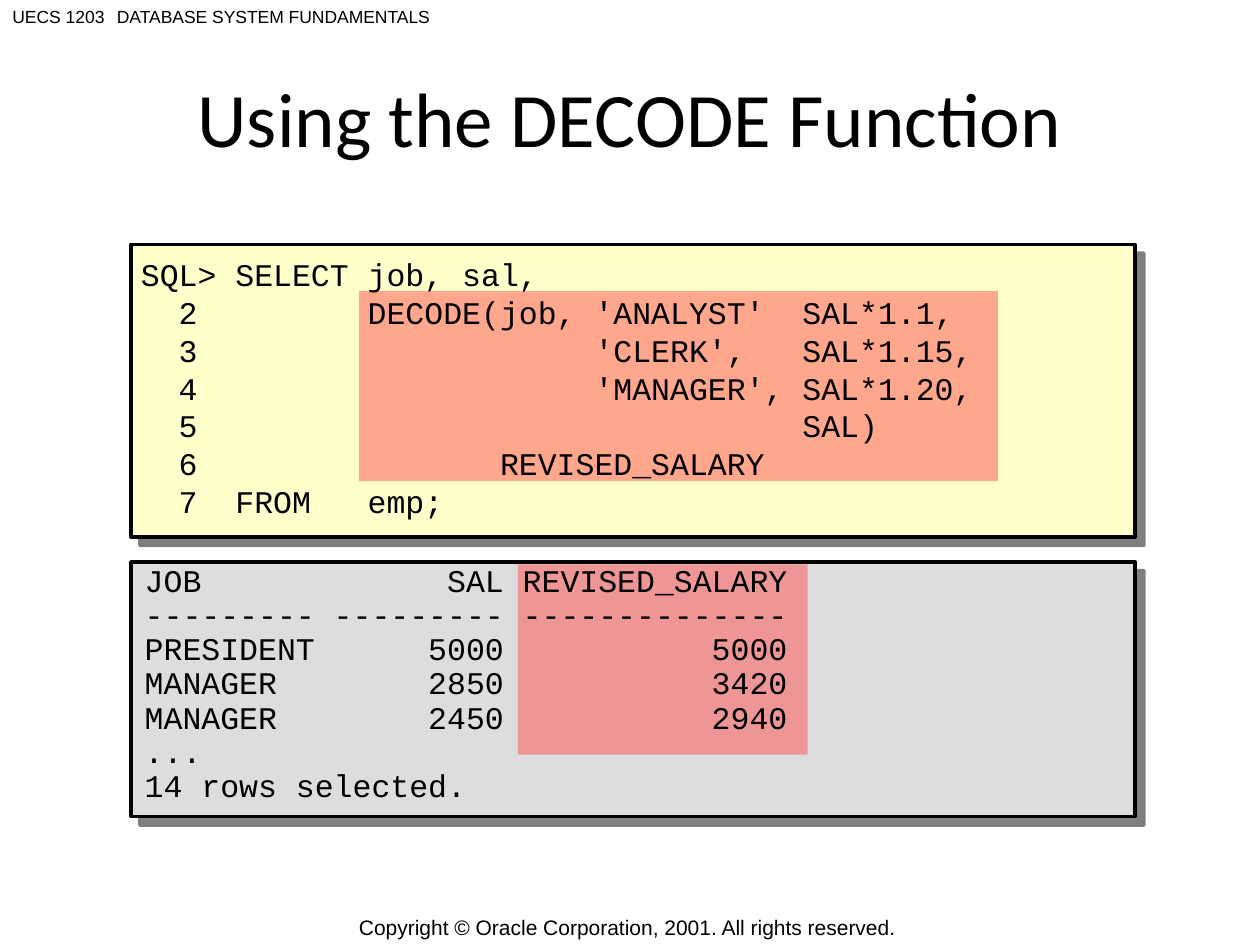
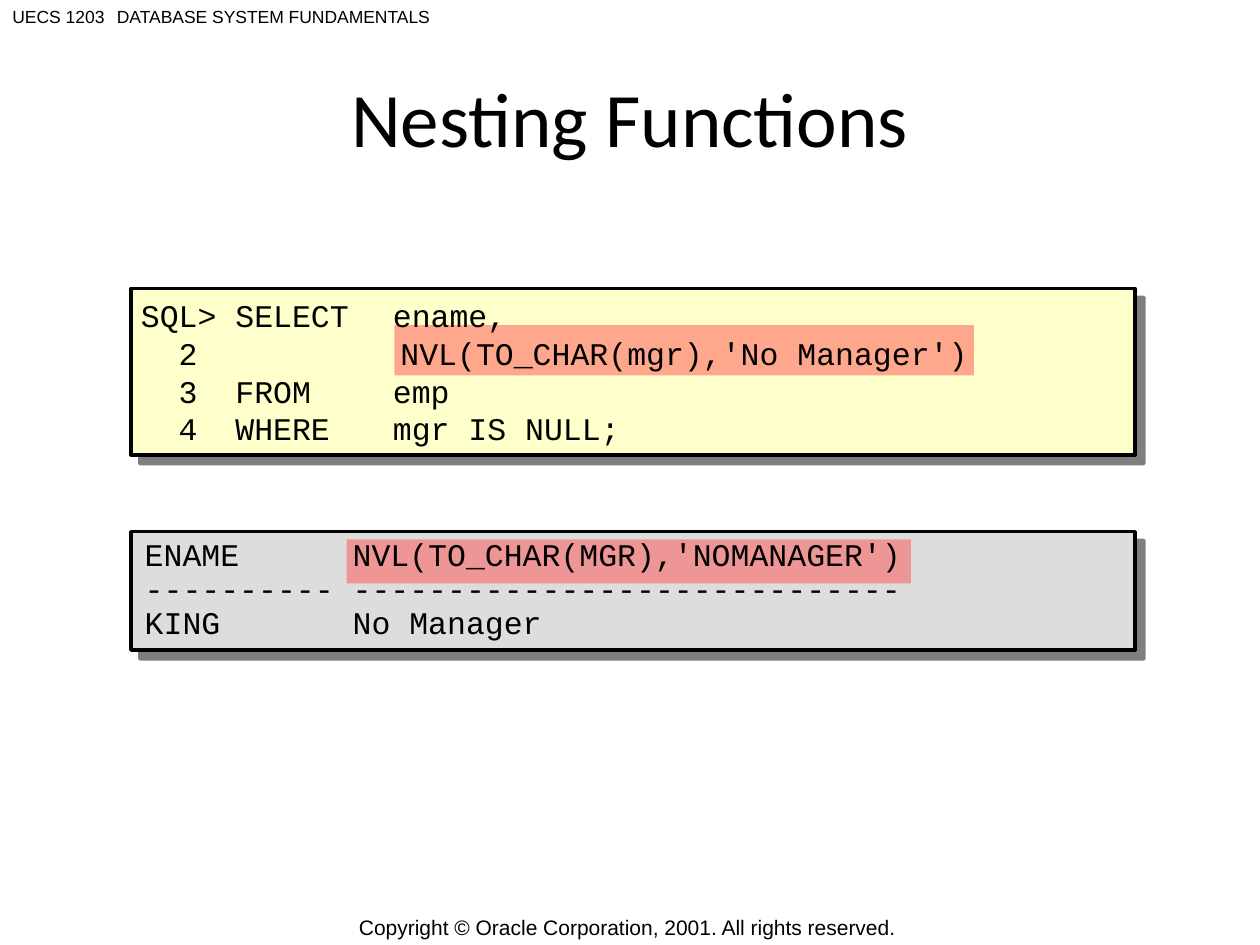
from dataclasses import dataclass

from lxml import etree
from pptx import Presentation
from pptx.dml.color import RGBColor
from pptx.enum import shapes, text
from pptx.oxml import ns
from pptx.slide import Slide
from pptx.util import Emu, Inches, Pt

COLUMNS, ROWS = 100, 75
SLIDE_W, SLIDE_H = Inches(10), Inches(7.5)


@dataclass(frozen=True)
class Theme:
    ink: str = "000000"
    paper: str = "FFFFFF"
    code_fill: str = "FFFFCC"
    result_fill: str = "DDDDDD"
    highlight: str = "FF5050"
    title_font: str = "Calibri"
    label_font: str = "Arial"
    code_font: str = "Courier New"
    title_size: int = 44
    code_size: int = 18
    footer_size: int = 12
    header_size: int = 10
    border: int = 2
    shadow_distance: float = 7.1
    result_spacing: float = 0.9
    code_tabs: tuple[float, ...] = (1.31, 2, 3, 4, 5, 6, 7)


@dataclass(frozen=True)
class Box:
    """A rectangle in grid columns and rows."""
    x: float
    y: float
    w: float
    h: float

    def emu(self) -> tuple[Emu, Emu, Emu, Emu]:
        col, row = SLIDE_W / COLUMNS, SLIDE_H / ROWS
        return (Emu(round(self.x * col)), Emu(round(self.y * row)),
                Emu(round(self.w * col)), Emu(round(self.h * row)))


@dataclass(frozen=True)
class Label:
    words: str
    box: Box
    size: int
    anchor: text.MSO_ANCHOR = text.MSO_ANCHOR.TOP
    wrap: bool = True


@dataclass(frozen=True)
class Listing:
    """A bordered panel, its highlighted part and the monospaced text on top."""
    panel: Box
    highlight: Box
    words: Box
    lines: str
    is_result: bool = False


@dataclass(frozen=True)
class Example:
    title: str
    query: Listing
    result: Listing


THEME = Theme()
TITLE_BOX = Box(5, 3, 90, 12.5)
LABELS = (
    Label("UECS 1203", Box(0, 0, 10.8, 2.7), THEME.header_size),
    Label("DATABASE SYSTEM FUNDAMENTALS", Box(8.3, 0, 31.7, 2.7), THEME.header_size),
    Label("Copyright © Oracle Corporation, 2001. All rights reserved.",
          Box(27.5, 72.5, 44.9, 2.1), THEME.footer_size, text.MSO_ANCHOR.MIDDLE, False),
)


def panel_box(y: float, h: float) -> Box:
    return Box(10.4, y, 79.7, h)


def query_box(y: float, h: float) -> Box:
    return Box(10.2, y, 80, h)


def result_box(y: float, h: float) -> Box:
    return Box(10.5, y, 79.5, h)


EXAMPLES = (
    Example(
        "Using the DECODE Function",
        Listing(panel_box(19.4, 23.2), Box(28.5, 23.1, 50.7, 15.1), query_box(19, 23.5),
                """SQL> SELECT job, sal,
  2         DECODE(job, 'ANALYST'  SAL*1.1,
  3                     'CLERK',   SAL*1.15,
  4                     'MANAGER', SAL*1.20,
  5                                SAL)
  6                REVISED_SALARY
  7  FROM   emp;"""),
        Listing(panel_box(44.6, 20.2), Box(41.1, 44.8, 23, 15.1), result_box(44.4, 19.9),
                """JOB             SAL REVISED_SALARY
--------- --------- --------------
PRESIDENT      5000           5000
MANAGER        2850           3420
MANAGER        2450           2940
...
14 rows selected.""", is_result=True),
    ),
    Example(
        "Nesting Functions",
        Listing(panel_box(22.9, 13.2), Box(31.3, 25.8, 46, 4), query_box(21.5, 16),
                """SQL> SELECT\tename,
  2\t     NVL(TO_CHAR(mgr),'No Manager')
  3  FROM\temp
  4  WHERE\tmgr IS NULL;"""),
        Listing(panel_box(42.2, 9.4), Box(27.5, 42.8, 44.8, 3.5), result_box(42.3, 9.1),
                """ENAME      NVL(TO_CHAR(MGR),'NOMANAGER')
---------- -----------------------------
KING       No Manager""", is_result=True),
    ),
)


def set_font(p, name: str, size: int) -> None:
    p.font.name, p.font.size = name, Pt(size)
    p.font.color.rgb = RGBColor.from_string(THEME.ink)


def add_rectangle(slide: Slide, box: Box, fill: str):
    sp = slide.shapes.add_shape(shapes.MSO_SHAPE.RECTANGLE, *box.emu())
    sp.shadow.inherit = False
    sp.fill.solid()
    sp.fill.fore_color.rgb = RGBColor.from_string(fill)
    sp.line.fill.background()
    return sp


def add_half_black(parent) -> None:
    color = etree.SubElement(parent, ns.qn("a:srgbClr"), val=THEME.ink)
    make_half_clear(color)


def make_half_clear(color) -> None:
    etree.SubElement(color, ns.qn("a:alpha"), val="50000")


def add_panel(slide: Slide, listing: Listing) -> None:
    fill = THEME.result_fill if listing.is_result else THEME.code_fill
    sp = add_rectangle(slide, listing.panel, fill)
    sp.line.color.rgb = RGBColor.from_string(THEME.ink)
    sp.line.width = Pt(THEME.border)
    effects = sp._element.spPr.find(ns.qn("a:effectLst"))
    shadow = etree.SubElement(effects, ns.qn("a:outerShdw"), dir=str(45 * 60000),
                              dist=str(Pt(THEME.shadow_distance)), algn="ctr", rotWithShape="0")
    add_half_black(shadow)


def add_highlight(slide: Slide, listing: Listing) -> None:
    sp = add_rectangle(slide, listing.highlight, THEME.highlight)
    make_half_clear(sp._element.spPr.find(".//" + ns.qn("a:srgbClr")))


def add_text(slide: Slide, box: Box, words: str, anchor: text.MSO_ANCHOR, wrap: bool = True):
    tf = slide.shapes.add_textbox(*box.emu()).text_frame
    tf.word_wrap, tf.vertical_anchor = wrap, anchor
    tf.text = words
    return tf


def add_tabs(p) -> None:
    tabs = etree.SubElement(p._p.get_or_add_pPr(), ns.qn("a:tabLst"))
    for stop in THEME.code_tabs:
        etree.SubElement(tabs, ns.qn("a:tab"), pos=str(Inches(stop)), algn="l")


def add_lines(slide: Slide, listing: Listing) -> None:
    anchor = text.MSO_ANCHOR.TOP if listing.is_result else text.MSO_ANCHOR.MIDDLE
    for p in add_text(slide, listing.words, listing.lines, anchor).paragraphs:
        add_tabs(p)
        if listing.is_result:
            p.line_spacing = THEME.result_spacing
        set_font(p, THEME.code_font, THEME.code_size)


def set_title(slide: Slide, words: str) -> None:
    title = slide.shapes.title
    title.left, title.top, title.width, title.height = TITLE_BOX.emu()
    tf = title.text_frame
    tf.text, tf.vertical_anchor = words, text.MSO_ANCHOR.MIDDLE
    p = tf.paragraphs[0]
    p.alignment = text.PP_ALIGN.CENTER
    set_font(p, THEME.title_font, THEME.title_size)


def add_example(prs, example: Example) -> None:
    slide = prs.slides.add_slide(prs.slide_layouts.get_by_name("Title Only"))
    slide.background.fill.solid()
    slide.background.fill.fore_color.rgb = RGBColor.from_string(THEME.paper)
    set_title(slide, example.title)
    for label in LABELS:
        tf = add_text(slide, label.box, label.words, label.anchor, label.wrap)
        set_font(tf.paragraphs[0], THEME.label_font, label.size)
    for draw in (add_panel, add_highlight, add_lines):
        for listing in (example.query, example.result):
            draw(slide, listing)


def main() -> None:
    prs = Presentation()
    prs.slide_width, prs.slide_height = SLIDE_W, SLIDE_H
    for example in EXAMPLES:
        add_example(prs, example)
    prs.save("out.pptx")


if __name__ == "__main__":
    main()
